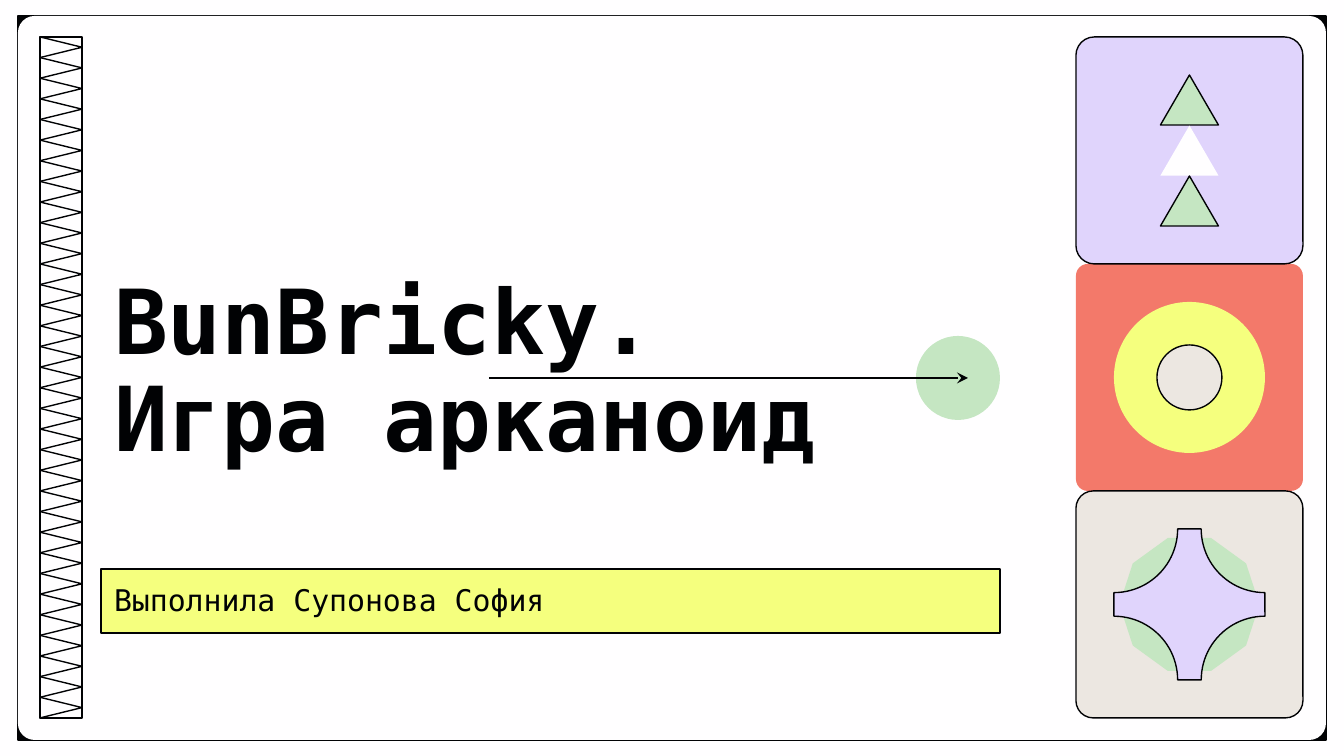
from lxml import etree
from pptx import Presentation
from pptx.dml.color import RGBColor
from pptx.enum.shapes import MSO_CONNECTOR, MSO_SHAPE
from pptx.enum.text import MSO_ANCHOR, MSO_AUTO_SIZE, PP_ALIGN
from pptx.oxml.ns import qn
from pptx.util import Emu, Pt

PX = 914400 / 134.4
FONT = "DejaVu Sans Mono"
INK = RGBColor(0x01, 0x02, 0x04)
PAPER = RGBColor(0xFF, 0xFE, 0xFF)
YELLOW = RGBColor(0xF5, 0xFF, 0x7E)
GREEN = RGBColor(0xC5, 0xE6, 0xC2)
CORAL = RGBColor(0xF3, 0x79, 0x6A)
SAND = RGBColor(0xEC, 0xE7, 0xE1)
LILAC = RGBColor(0xE0, 0xD4, 0xFC)

CARD_LEFT, CARD_TOP, CARD_SIZE = 1076, 37, 227
STRIP_LEFT, STRIP_WIDTH, STRIP_HEIGHT, TEETH = 40, 42, 681, 33


def px(n):
    return Emu(round(n * PX))


def paint(sp, fill=None, line=None):
    if fill is None:
        sp.fill.background()
    else:
        sp.fill.solid()
        sp.fill.fore_color.rgb = fill
    if line is None:
        sp.line.fill.background()
    else:
        sp.line.color.rgb = INK
        sp.line.width = Pt(line)


def shape(s, kind, x, y, w, h, fill=None, line=None, adj=None, rotation=0):
    sp = s.shapes.add_shape(kind, px(x), px(y), px(w), px(h))
    sp.shadow.inherit = False
    sp.rotation = rotation
    if adj is not None:
        sp.adjustments[0] = adj
    paint(sp, fill, line)
    return sp


def text(sp, lines, size=16, bold=False, spacing=1.0, anchor=MSO_ANCHOR.TOP):
    tf = sp.text_frame
    tf.word_wrap = True
    tf.auto_size = MSO_AUTO_SIZE.NONE
    tf.vertical_anchor = anchor
    tf.margin_left = tf.margin_right = tf.margin_top = tf.margin_bottom = px(13)
    p = tf.paragraphs[0]
    p.alignment = PP_ALIGN.LEFT
    p.line_spacing = spacing
    p.space_before = Pt(0)
    for i, line in enumerate(lines):
        if i:
            p.add_line_break()
        r = p.add_run()
        r.text = line
        r.font.name = FONT
        r.font.size = Pt(size)
        r.font.bold = bold
        r.font.color.rgb = INK


def place(sp, x, y, w, h):
    sp.left, sp.top, sp.width, sp.height = px(x), px(y), px(w), px(h)
    tree = sp.element.getparent()
    tree.append(sp.element)


def arrow(s, x1, y1, x2, y2):
    line = s.shapes.add_connector(MSO_CONNECTOR.STRAIGHT, px(x1), px(y1), px(x2), px(y2))
    line.line.color.rgb = INK
    line.line.width = Pt(0.75)
    etree.SubElement(line.line._get_or_add_ln(), qn("a:tailEnd"), type="stealth")
    etree.SubElement(line.element.spPr, qn("a:effectLst"))


def frame(s):
    shape(s, MSO_SHAPE.RECTANGLE, 18, 16, 1308, 724, INK, 1.5)
    shape(s, MSO_SHAPE.ROUNDED_RECTANGLE, 18, 16, 1308, 724, PAPER, adj=0.023)


def zigzag_strip(s):
    pitch = STRIP_HEIGHT / TEETH
    x = STRIP_LEFT + (STRIP_WIDTH - pitch) / 2
    for i in range(TEETH):
        y = CARD_TOP + (i + 0.5) * pitch - STRIP_WIDTH / 2
        shape(s, MSO_SHAPE.ISOSCELES_TRIANGLE, x, y, pitch, STRIP_WIDTH, line=0.75, rotation=90)
    shape(s, MSO_SHAPE.RECTANGLE, STRIP_LEFT, CARD_TOP, STRIP_WIDTH, STRIP_HEIGHT, line=0.75)


def card(s, row, fill, adj, line=None):
    y = CARD_TOP + row * CARD_SIZE
    shape(s, MSO_SHAPE.ROUNDED_RECTANGLE, CARD_LEFT, y, CARD_SIZE, CARD_SIZE, fill, line, adj)


def centred(s, row, kind, w, h, fill, line=None, dy=0, adj=None):
    x = CARD_LEFT + (CARD_SIZE - w) / 2
    y = CARD_TOP + row * CARD_SIZE + (CARD_SIZE - h) / 2 + dy
    shape(s, kind, x, y, w, h, fill, line, adj)


def cards(s):
    card(s, 1, CORAL, 0.052)
    centred(s, 1, MSO_SHAPE.OVAL, 151, 151, YELLOW)
    centred(s, 1, MSO_SHAPE.OVAL, 65, 65, SAND, 0.75)

    card(s, 0, LILAC, 0.081, 0.75)
    for step, fill, line in ((-1, GREEN, 0.75), (0, PAPER, None), (1, GREEN, 0.75)):
        centred(s, 0, MSO_SHAPE.ISOSCELES_TRIANGLE, 58, 50, fill, line, dy=step * 50.5)

    card(s, 2, SAND, 0.076, 0.75)
    centred(s, 2, MSO_SHAPE.DECAGON, 140, 133, GREEN)
    centred(s, 2, MSO_SHAPE.PLAQUE, 151, 151, LILAC, 0.75, adj=0.422)


def main():
    prs = Presentation()
    prs.slide_width, prs.slide_height = px(1344), px(756)
    s = prs.slides.add_slide(prs.slide_layouts[0])
    s.background.fill.solid()
    s.background.fill.fore_color.rgb = PAPER

    frame(s)
    zigzag_strip(s)

    title, subtitle = s.shapes.title, s.placeholders[1]
    place(title, 101, 234, 899, 250)
    text(title, ["BunBricky.", "Игра арканоид"], size=48, bold=True,
         spacing=0.9, anchor=MSO_ANCHOR.BOTTOM)
    place(subtitle, 101, 569, 899, 64)
    paint(subtitle, YELLOW, 0.75)
    text(subtitle, ["Выполнила Супонова София"])

    shape(s, MSO_SHAPE.OVAL, 916, 336, 84, 84, GREEN)
    arrow(s, 489, 378, 968, 378)
    cards(s)
    prs.save("out.pptx")


if __name__ == "__main__":
    main()
